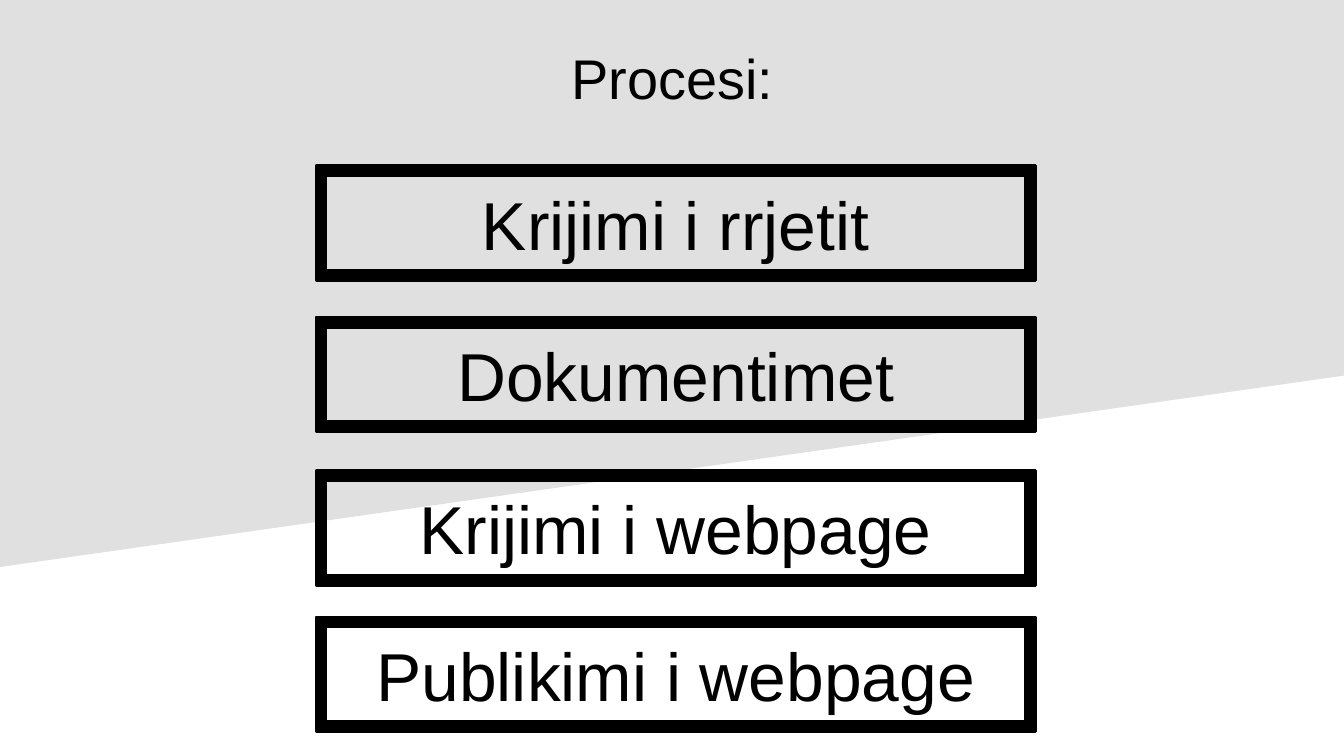
"""Build the slide that lists the four steps of the process."""
from dataclasses import dataclass

from pptx import Presentation
from pptx.dml.color import RGBColor
from pptx.enum.shapes import MSO_SHAPE as Preset
from pptx.enum.text import MSO_ANCHOR as Anchor, PP_ALIGN as Align
from pptx.shapes.autoshape import Shape
from pptx.slide import Slide
from pptx.util import Pt

BLACK = RGBColor(0x00, 0x00, 0x00)
WHITE = RGBColor(0xFF, 0xFF, 0xFF)
GREY = RGBColor(0xE0, 0xE0, 0xE0)

PAGE_WIDTH, PAGE_HEIGHT = 793.44, 446.4
SLOPE_LEFT, SLOPE_RIGHT = 334.8, 221.8
STEP_LEFT, STEP_WIDTH, STEP_HEIGHT = 186.5, 424.8, 67.7
FRAME_THICKNESS = 0.09
FRAME_LINE = 1.5
TITLE_SIZE, STEP_SIZE = 33, 40

TITLE_FORMAT = {
    "margin_left": 0, "margin_right": 0, "margin_top": 0, "margin_bottom": 0,
    "vertical_anchor": Anchor.MIDDLE, "word_wrap": True,
}
STEP_FORMAT = {
    "margin_left": Pt(7.9), "margin_right": Pt(7.9),
    "margin_top": Pt(4.3), "margin_bottom": Pt(4.3),
    "vertical_anchor": Anchor.MIDDLE, "word_wrap": False,
}


@dataclass(frozen=True)
class Step:
    label: str
    top: float


STEPS = (
    Step("Krijimi i rrjetit", 97.9),
    Step("Dokumentimet", 187.2),
    Step("Krijimi i webpage", 277.9),
    Step("Publikimi i webpage", 364.3),
)


def write_label(box: Shape, label: str, size: float, frame_format: dict) -> None:
    frame = box.text_frame
    for name, value in frame_format.items():
        setattr(frame, name, value)
    para = frame.paragraphs[0]
    para.alignment = Align.CENTER
    span = para.add_run()
    span.text = label
    for name, value in {"name": "Arial", "size": Pt(size)}.items():
        setattr(span.font, name, value)
    span.font.color.rgb = BLACK


def paint(shape: Shape, color: RGBColor) -> None:
    shape.shadow.inherit = False
    shape.fill.solid()
    shape.fill.fore_color.rgb = color


def draw_backdrop(page: Slide) -> None:
    page.background.fill.solid()
    page.background.fill.fore_color.rgb = WHITE
    corners = ((0, 0), (PAGE_WIDTH, 0), (PAGE_WIDTH, SLOPE_RIGHT))
    outline = page.shapes.build_freeform(0, Pt(SLOPE_LEFT))
    outline.add_line_segments([(Pt(x), Pt(y)) for x, y in corners], close=True)
    slope = outline.convert_to_shape()
    paint(slope, GREY)
    slope.line.fill.background()


def draw_title(page: Slide) -> None:
    box = page.shapes.add_textbox(Pt(187.2), Pt(17.3), Pt(419.8), Pt(56.9))
    write_label(box, "Procesi:", TITLE_SIZE, TITLE_FORMAT)


def draw_step(page: Slide, step: Step) -> None:
    box = page.shapes.add_shape(
        Preset.FRAME, Pt(STEP_LEFT), Pt(step.top), Pt(STEP_WIDTH), Pt(STEP_HEIGHT)
    )
    box.adjustments[0] = FRAME_THICKNESS
    paint(box, BLACK)
    box.line.color.rgb = BLACK
    box.line.width = Pt(FRAME_LINE)
    write_label(box, step.label, STEP_SIZE, STEP_FORMAT)


def main() -> None:
    deck = Presentation()
    deck.slide_width, deck.slide_height = Pt(PAGE_WIDTH), Pt(PAGE_HEIGHT)
    page = deck.slides.add_slide(deck.slide_layouts[6])
    draw_backdrop(page)
    draw_title(page)
    for step in STEPS:
        draw_step(page, step)
    deck.save("out.pptx")


if __name__ == "__main__":
    main()
